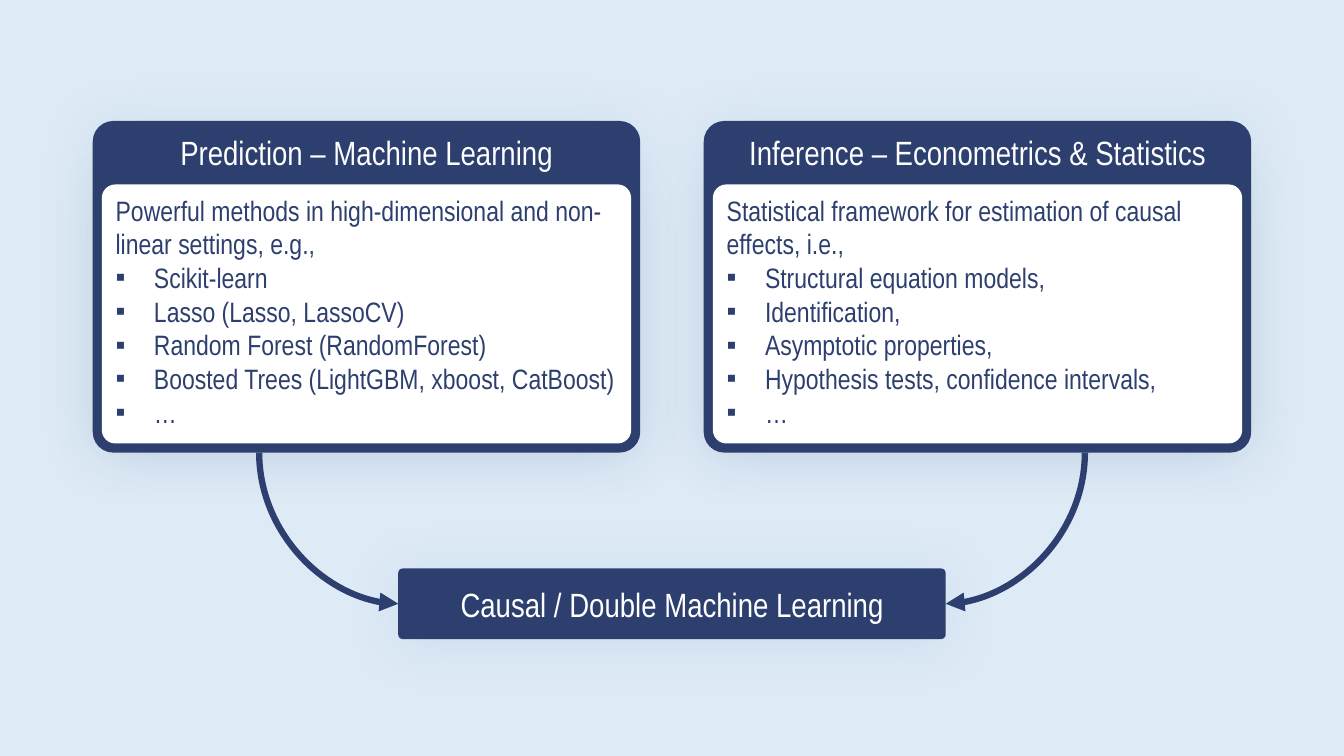
from lxml import etree
from pptx import Presentation
from pptx import util as u
from pptx.dml.color import RGBColor
from pptx.enum import shapes, text
from pptx.oxml.ns import qn

NAVY, WHITE, SKY, SHADE = "2C3F6E", "FFFFFF", "DEEBF7", "3A4D78"
FONT = "Arial Narrow"
PANELS = [
    ("Prediction – Machine Learning",
     "Powerful methods in high-dimensional and non-linear settings, e.g.,",
     ["Scikit-learn", "Lasso (Lasso, LassoCV)", "Random Forest (RandomForest)",
      "Boosted Trees (LightGBM, xboost, CatBoost)", "…"]),
    ("Inference – Econometrics & Statistics",
     "Statistical framework for estimation of causal effects, i.e.,",
     ["Structural equation models,", "Identification,", "Asymptotic properties,",
      "Hypothesis tests, confidence intervals,", "…"]),
]
RESULT = "Causal / Double Machine Learning"

WIDTH, HEIGHT = 13.33, 7.5
BOX_W, PANEL_H, RESULT_H = 5.43, 3.29, 0.7
MARGIN, PANEL_TOP, RESULT_TOP = 0.92, 1.2, 5.64
HEADER_H, BORDER = 0.63, 0.09
INDENT = 0.38
ARROW_W = 1.38

presentation = Presentation()
presentation.slide_width, presentation.slide_height = u.Inches(WIDTH), u.Inches(HEIGHT)
slide = presentation.slides.add_slide(presentation.slide_layouts[6])


def rgb(colour):
    return RGBColor.from_string(colour)


def add_child(parent, tag, **attributes):
    child = etree.SubElement(parent, qn(tag))
    for name, value in attributes.items():
        child.set(name, str(value))
    return child


def add_shadow(shape):
    """Replace the theme shadow with a wide, faint one below the shape."""
    shape.shadow.inherit = False
    effects = shape._element.spPr.find(qn("a:effectLst"))
    shadow = add_child(effects, "a:outerShdw", blurRad=u.Pt(40), dist=u.Pt(3),
                       dir=90 * 60000, algn="t", rotWithShape=0)
    add_child(add_child(shadow, "a:srgbClr", val=SHADE), "a:alpha", val=10000)


def add_box(left, top, width, height, fill, rounding):
    shape = slide.shapes.add_shape(shapes.MSO_SHAPE.ROUNDED_RECTANGLE,
                                   *map(u.Inches, (left, top, width, height)))
    shape.adjustments[0] = rounding
    shape.fill.solid()
    shape.fill.fore_color.rgb = rgb(fill)
    shape.line.fill.background()
    add_shadow(shape)
    return shape


def write(shape, lines, size, colour, align=text.PP_ALIGN.LEFT,
          anchor=text.MSO_ANCHOR.TOP, bulleted_from=None):
    frame = shape.text_frame
    frame.word_wrap = True
    frame.vertical_anchor = anchor
    for index, line in enumerate(lines):
        paragraph = frame.paragraphs[0] if index == 0 else frame.add_paragraph()
        paragraph.alignment = align
        if bulleted_from is not None and index >= bulleted_from:
            properties = paragraph._p.get_or_add_pPr()
            properties.set("marL", str(u.Inches(INDENT)))
            properties.set("indent", str(-u.Inches(INDENT)))
            add_child(properties, "a:buFont", typeface="Arial")
            add_child(properties, "a:buChar", char="▪")
        run = paragraph.add_run()
        run.text = line
        run.font.name, run.font.size = FONT, u.Pt(size)
        run.font.color.rgb = rgb(colour)


def add_arrow(start_x, start_y, end_x, end_y):
    """Curve that leaves downwards and arrives sideways."""
    rightward = end_x > start_x
    connector = slide.shapes.add_connector(
        shapes.MSO_CONNECTOR.CURVE, 0, 0, u.Inches(1), u.Inches(1))
    # The quarter turn swaps width and height around the centre.
    across, down = abs(end_x - start_x), end_y - start_y
    connector.left = u.Inches((start_x + end_x - down) / 2)
    connector.top = u.Inches((start_y + end_y - across) / 2)
    connector.width, connector.height = u.Inches(down), u.Inches(across)
    properties = connector._element.spPr
    frame = properties.find(qn("a:xfrm"))
    frame.set("rot", str((270 if rightward else 90) * 60000))
    if rightward:
        frame.set("flipH", "1")
    properties.find(qn("a:prstGeom")).set("prst", "curvedConnector2")
    connector.line.color.rgb = rgb(NAVY)
    connector.line.width = u.Pt(4.5)
    add_child(properties.find(qn("a:ln")), "a:tailEnd", type="triangle")
    add_child(properties, "a:effectLst")


slide.background.fill.solid()
slide.background.fill.fore_color.rgb = rgb(SKY)

panel_lefts = (MARGIN, WIDTH - MARGIN - BOX_W)
for left, (title, intro, items) in zip(panel_lefts, PANELS):
    panel = add_box(left, PANEL_TOP, BOX_W, PANEL_H, NAVY, 0.062)
    write(panel, [title], 24, WHITE, align=text.PP_ALIGN.CENTER)
    card = add_box(left + BORDER, PANEL_TOP + HEADER_H, BOX_W - 2 * BORDER,
                   PANEL_H - HEADER_H - BORDER, WHITE, 0.052)
    write(card, [intro, *items], 20, NAVY, bulleted_from=1)

result_left = (WIDTH - BOX_W) / 2
result = add_box(result_left, RESULT_TOP, BOX_W, RESULT_H, NAVY, 0.062)
write(result, [RESULT], 24, WHITE, align=text.PP_ALIGN.CENTER,
      anchor=text.MSO_ANCHOR.MIDDLE)

for edge, outward in ((result_left, -1), (result_left + BOX_W, 1)):
    add_arrow(edge + outward * ARROW_W, PANEL_TOP + PANEL_H,
              edge, RESULT_TOP + RESULT_H / 2)

presentation.save("out.pptx")
